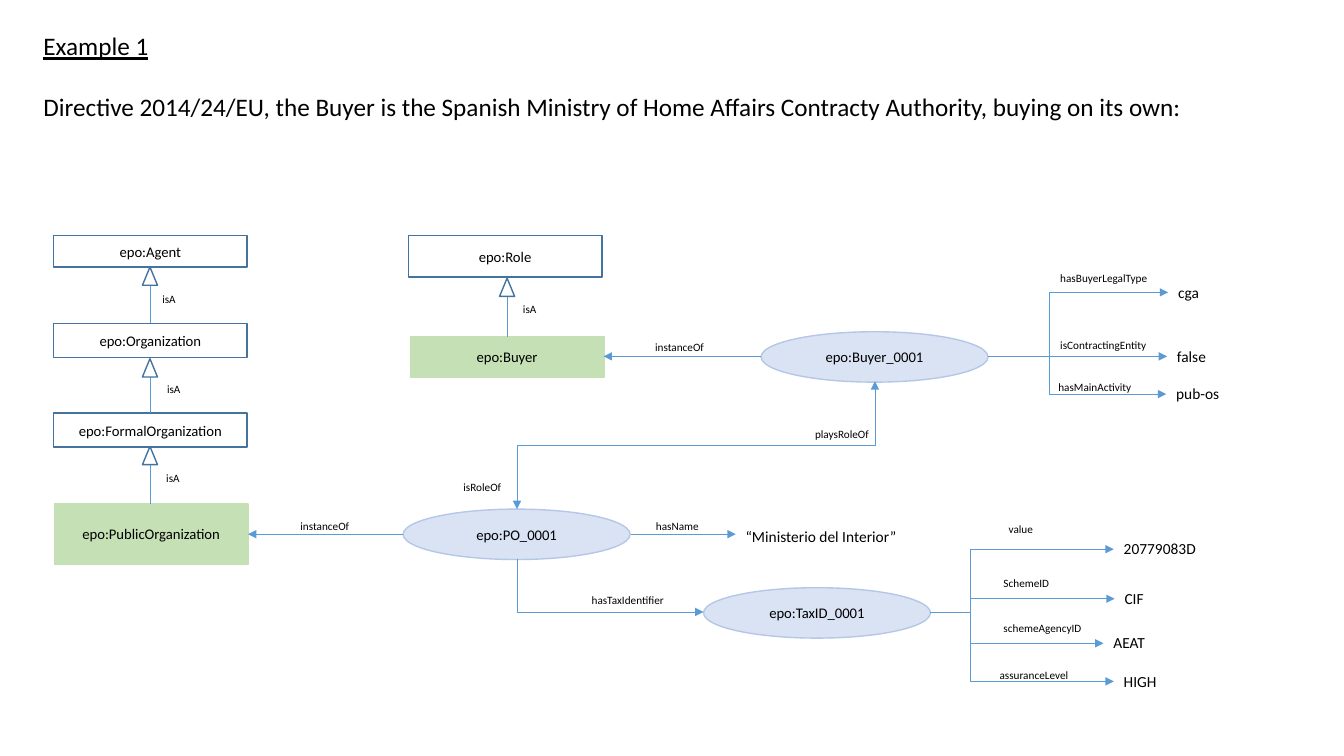
import math
from dataclasses import dataclass

import pptx
import pptx.dml.color
import pptx.enum.shapes
import pptx.enum.text
import pptx.oxml
import pptx.oxml.ns
import pptx.util

Cm = pptx.util.Cm
SHAPE = pptx.enum.shapes.MSO_SHAPE
CONNECTOR = pptx.enum.shapes.MSO_CONNECTOR
ANCHOR = pptx.enum.text.MSO_ANCHOR
ALIGN = pptx.enum.text.PP_ALIGN
qn = pptx.oxml.ns.qn


@dataclass(frozen=True)
class Theme:
    font: str = "Calibri"
    text: str = "000000"
    outline: str = "43739E"
    edge: str = "5B9BD5"
    arrowhead_fill: str = "FFFFFF"
    concept: str = "C5E0B4"
    instance: str = "DAE3F3"
    instance_outline: str = "B4C7E7"
    heading_size: float = 18
    node_size: float = 10.5
    value_size: float = 11
    label_size: float = 8
    outline_width: float = 1
    edge_width: float = 0.5


def colour(value):
    return pptx.dml.color.RGBColor.from_string(value)


def add_element(parent, tag, **attributes):
    child = pptx.oxml.parse_xml(f"<{tag} {pptx.oxml.ns.nsdecls('a')}/>")
    for key, value in attributes.items():
        child.set(key, value)
    parent.append(child)
    return child


class Diagram:
    def __init__(self, page, theme):
        self.page = page
        self.theme = theme

    def fill_text(self, shape, text, size, align=ALIGN.LEFT, underline=False):
        shape.text_frame.text = text
        para = shape.text_frame.paragraphs[0]
        para.alignment = align
        for span in para.runs:
            span.font.name = self.theme.font
            span.font.size = pptx.util.Pt(size)
            span.font.color.rgb = colour(self.theme.text)
            span.font.underline = underline

    def heading(self, box, text, top, underline=False):
        """Fill a title or body placeholder with one plain line."""
        box.left, box.top, box.width, box.height = Cm(0.84), Cm(top), Cm(32.41), Cm(1.02)
        self.fill_text(box, text, self.theme.heading_size, underline=underline)
        box.text_frame.vertical_anchor = ANCHOR.TOP
        box.text_frame.auto_size = pptx.enum.text.MSO_AUTO_SIZE.NONE
        para = box.text_frame.paragraphs[0]
        para.space_before = pptx.util.Pt(0)
        properties = para._p.get_or_add_pPr()
        properties.set("marL", "0")
        properties.set("indent", "0")
        add_element(properties, "a:buNone")

    def shape(self, kind, left, top, width, height, fill, line):
        shape = self.page.shapes.add_shape(kind, Cm(left), Cm(top), Cm(width), Cm(height))
        shape.shadow.inherit = False
        if fill:
            shape.fill.solid()
            shape.fill.fore_color.rgb = colour(fill)
        else:
            shape.fill.background()
        shape.line.color.rgb = colour(line)
        shape.line.width = pptx.util.Pt(self.theme.outline_width)
        return shape

    def node(self, kind, text, left, top, width, height, fill, line):
        shape = self.shape(kind, left, top, width, height, fill, line)
        self.fill_text(shape, text, self.theme.node_size, ALIGN.CENTER)
        shape.text_frame.vertical_anchor = ANCHOR.MIDDLE

    def class_box(self, text, left, top, height, fill=None):
        self.node(SHAPE.RECTANGLE, text, left, top, 4.88, height,
                  fill, fill or self.theme.outline)

    def instance(self, text, left, top):
        self.node(SHAPE.OVAL, text, left, top, 5.72, 1.27,
                  self.theme.instance, self.theme.instance_outline)

    def text(self, text, left, top, width, height, size):
        box = self.page.shapes.add_textbox(Cm(left), Cm(top), Cm(width), Cm(height))
        self.fill_text(box, text, size)
        box.text_frame.word_wrap = False
        box.text_frame.auto_size = pptx.enum.text.MSO_AUTO_SIZE.SHAPE_TO_FIT_TEXT

    def label(self, text, left, top, width):
        self.text(text, left, top, width, 0.61, self.theme.label_size)

    def value(self, text, left, top, width):
        self.text(text, left, top, width, 0.74, self.theme.value_size)

    def edge(self, start, end, kind=CONNECTOR.STRAIGHT, heads=("tailEnd",)):
        line = self.page.shapes.add_connector(kind, *map(Cm, (*start, *end)))
        line.line.color.rgb = colour(self.theme.edge)
        line.line.width = pptx.util.Pt(self.theme.edge_width)
        properties = line._element.spPr
        for head in heads:
            add_element(properties.find(qn("a:ln")), f"a:{head}", type="triangle")
        add_element(properties, "a:effectLst")
        return line

    def branch(self, start, end, trunk):
        """Elbow that leaves the shared vertical trunk towards end."""
        line = self.edge(start, end, CONNECTOR.ELBOW)
        share = round((trunk - start[0]) / (end[0] - start[0]) * 100000)
        geometry = line._element.spPr.find(qn("a:prstGeom"))
        add_element(geometry.find(qn("a:avLst")), "a:gd", name="adj1", fmla=f"val {share}")

    def turned_elbow(self, start, end, degrees, preset, heads=("tailEnd",)):
        """Elbow that leaves vertically: unrotate its ends, then rotate the frame."""
        middle = [(a + b) / 2 for a, b in zip(start, end)]
        cos, sin = math.cos(math.radians(degrees)), math.sin(math.radians(degrees))
        ends = []
        for x, y in (start, end):
            dx, dy = x - middle[0], y - middle[1]
            ends.append((middle[0] + dx * cos + dy * sin, middle[1] - dx * sin + dy * cos))
        line = self.edge(*ends, CONNECTOR.ELBOW, heads)
        properties = line._element.spPr
        properties.find(qn("a:xfrm")).set("rot", str(degrees * 60000))
        properties.find(qn("a:prstGeom")).set("prst", preset)

    def is_a(self, x, top, child_top, label_left, label_top):
        width, height = 0.38, 0.46
        self.edge((x, top + height), (x, child_top), heads=())
        self.shape(SHAPE.ISOSCELES_TRIANGLE, x - width / 2, top, width, height,
                   self.theme.arrowhead_fill, self.theme.outline)
        self.label("isA", label_left, label_top, 0.86)

    def attributes(self, start, trunk, rows):
        for name, left, top, width, value, x, y, value_width in rows:
            if y == start[1]:
                self.edge(start, (x, y))
            else:
                self.branch(start, (x, y), trunk)
            self.label(name, left, top, width)
            self.value(value, x, y - 0.37, value_width)


def main():
    deck = pptx.Presentation()
    deck.slide_width, deck.slide_height = Cm(33.87), Cm(19.05)
    page = deck.slides.add_slide(deck.slide_layouts[1])
    theme = Theme()
    diagram = Diagram(page, theme)

    diagram.heading(page.shapes.title, "Example 1", 0.64, underline=True)
    diagram.heading(page.placeholders[1], "Directive 2014/24/EU, the Buyer is the Spanish Ministry "
                    "of Home Affairs Contracty Authority, buying on its own:", 2.18)

    diagram.class_box("epo:Agent", 1.35, 5.94, 0.79)
    diagram.class_box("epo:Organization", 1.35, 8.15, 0.86)
    diagram.class_box("epo:FormalOrganization", 1.35, 10.41, 0.86)
    diagram.class_box("epo:PublicOrganization", 1.37, 12.7, 1.52, theme.concept)
    diagram.class_box("epo:Role", 10.29, 5.94, 1.04)
    diagram.class_box("epo:Buyer", 10.34, 8.48, 1.04, theme.concept)
    for link in ((3.78, 6.73, 8.15, 3.84, 7.24), (3.78, 9.04, 10.41, 3.96, 9.5),
                 (3.78, 11.25, 12.7, 3.94, 11.76), (12.78, 7.01, 8.48, 12.93, 7.49)):
        diagram.is_a(*link)

    diagram.instance("epo:PO_0001", 10.16, 12.83)
    diagram.instance("epo:TaxID_0001", 17.73, 14.81)
    diagram.instance("epo:Buyer_0001", 19.18, 8.36)

    diagram.edge((10.16, 13.46), (6.25, 13.46))
    diagram.label("instanceOf", 7.32, 12.95, 1.75)
    diagram.edge((19.18, 8.98), (15.21, 8.98))
    diagram.label("instanceOf", 16.26, 8.46, 1.75)
    diagram.edge((15.9, 13.46), (18.54, 13.46))
    diagram.label("hasName", 16.28, 12.95, 1.6)
    diagram.value("“Ministerio del Interior”", 18.54, 13.16, 4.34)

    diagram.turned_elbow((13.03, 14.08), (17.73, 15.42), 270, "bentConnector2")
    diagram.label("hasTaxIdentifier", 14.66, 14.83, 2.39)
    diagram.turned_elbow((13.03, 12.83), (22.05, 9.61), 90, "bentConnector3",
                         ("headEnd", "tailEnd"))
    diagram.label("playsRoleOf", 20.29, 10.64, 1.91)
    diagram.label("isRoleOf", 11.43, 11.99, 1.47)

    diagram.attributes((24.9, 8.98), 26.44, (
        ("hasBuyerLegalType", 26.47, 6.71, 2.74, "cga", 29.44, 7.37, 1.04),
        ("isContractingEntity", 26.47, 8.41, 2.72, "false", 29.41, 8.98, 1.24),
        ("hasMainActivity", 26.42, 9.45, 2.39, "pub-os", 29.39, 9.93, 1.6)))
    diagram.attributes((23.44, 15.42), 24.45, (
        ("value", 25.17, 13.03, 1.14, "20779083D", 28.07, 13.84, 2.36),
        ("SchemeID", 25.04, 14.4, 1.68, "CIF", 28.09, 15.09, 0.99),
        ("schemeAgencyID", 25.04, 15.54, 2.49, "AEAT", 27.81, 16.21, 1.6),
        ("assuranceLevel", 24.94, 16.71, 2.29, "HIGH", 28.07, 17.17, 1.6)))
    deck.save("out.pptx")


if __name__ == "__main__":
    main()
